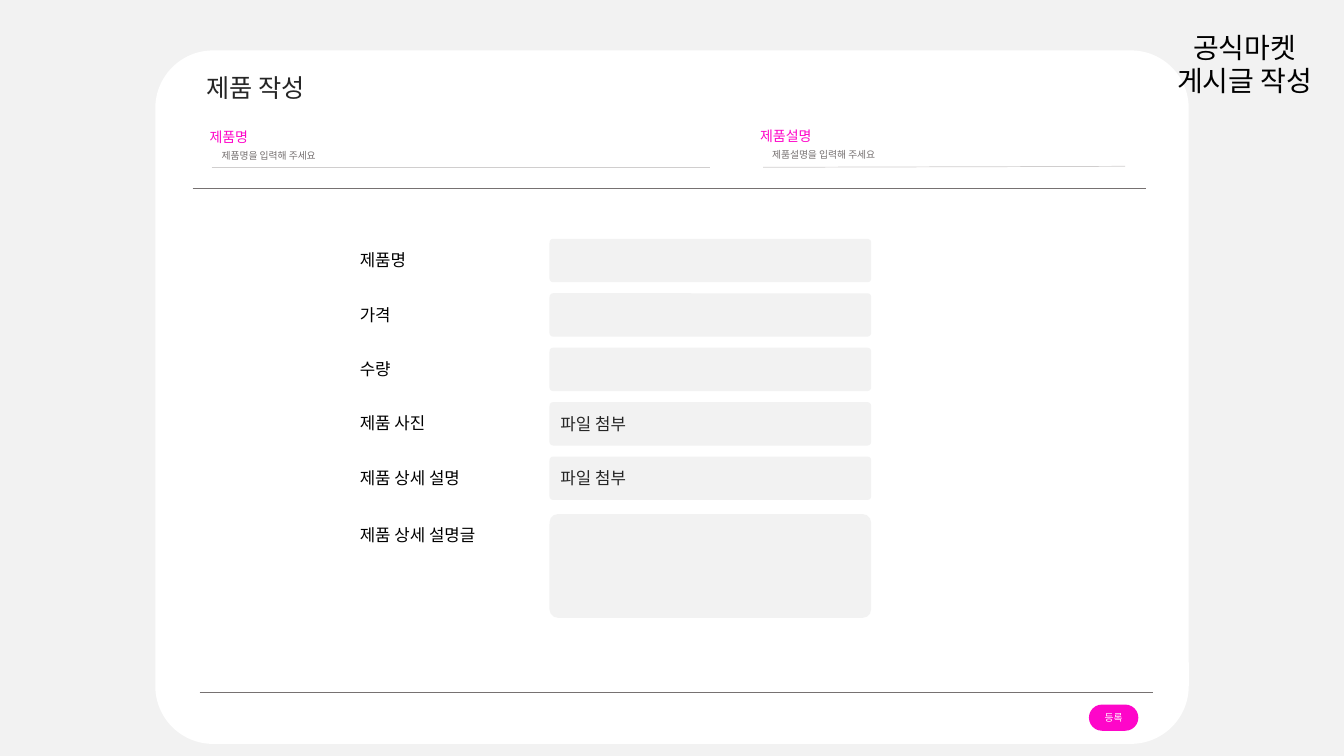
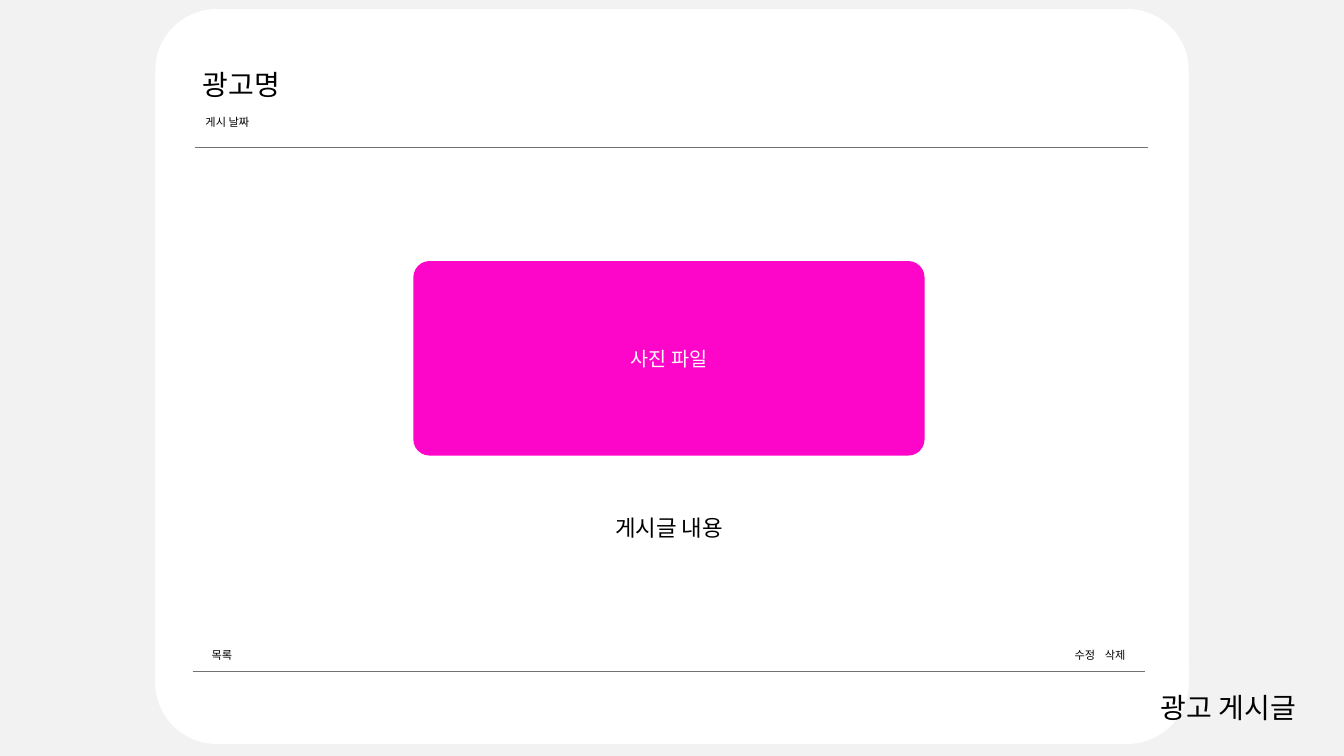
from lxml import etree
from pptx import Presentation
from pptx.dml.color import RGBColor
from pptx.enum.shapes import MSO_CONNECTOR, MSO_SHAPE
from pptx.enum.text import MSO_ANCHOR, PP_ALIGN
from pptx.oxml.ns import qn
from pptx.util import Inches, Pt

ROUNDED = MSO_SHAPE.ROUNDED_RECTANGLE
STRAIGHT = MSO_CONNECTOR.STRAIGHT
TOP, MIDDLE = MSO_ANCHOR.TOP, MSO_ANCHOR.MIDDLE
LEFT, CENTER = PP_ALIGN.LEFT, PP_ALIGN.CENTER

FONT = "Noto Sans CJK KR"
WHITE, BLACK, PINK = "FFFFFF", "000000", "FE06C9"
PALE, SILVER, GRAY, DARK = "F2F2F2", "D0CECE", "767171", "262626"
CORNER = 1 / 12


def add_box(slide, left, top, width, height, fill=None, corner=CORNER):
    """Add a rounded box, or a plain text box when there is no fill."""
    bounds = [Inches(length) for length in (left, top, width, height)]
    if fill is None:
        return slide.shapes.add_textbox(*bounds)
    shape = slide.shapes.add_shape(ROUNDED, *bounds)
    shape.adjustments[0] = corner
    shape.shadow.inherit = False
    shape.fill.solid()
    shape.fill.fore_color.rgb = RGBColor.from_string(fill)
    shape.line.fill.background()
    return shape


def write(shape, text, size, color=BLACK, align=LEFT, anchor=TOP):
    """Fill a shape with text, one paragraph per line."""
    frame = shape.text_frame
    frame.text = text
    frame.word_wrap = True
    frame.vertical_anchor = anchor
    for paragraph in frame.paragraphs:
        paragraph.alignment = align
        for run in paragraph.runs:
            run.font.size = Pt(size)
            run.font.color.rgb = RGBColor.from_string(color)
            run.font.name = FONT
            # Korean text takes the East Asian font
            east_asian = etree.SubElement(run._r.get_or_add_rPr(), qn("a:ea"))
            east_asian.set("typeface", FONT)


presentation = Presentation()
presentation.slide_width = Inches(13.33)
presentation.slide_height = Inches(7.5)
background = presentation.slide_master.background.fill
background.solid()
background.fore_color.rgb = RGBColor.from_string(PALE)

# Shared frame: title, title bounds, card top, lines (from, to, colour)
pages = [
    ("공식마켓\n게시글 작성", (11.16, 0.25, 2.37, 0.77), 0.5, [
        (1.91, 1.87, 11.37, 1.87, GRAY),
        (1.98, 6.87, 11.44, 6.87, GRAY),
        (2.1, 1.66, 7.04, 1.66, SILVER),
        (7.57, 1.66, 11.16, 1.65, SILVER),
    ]),
    ("광고 게시글", (10.73, 6.8, 2.91, 0.44), 0.09, [
        (1.93, 1.46, 11.39, 1.46, GRAY),
        (1.91, 6.66, 11.36, 6.66, GRAY),
    ]),
]
CARD_BOTTOM = 7.38
slides = []
for title_text, title_bounds, card_top, lines in pages:
    slide = presentation.slides.add_slide(presentation.slide_layouts[5])
    slides.append(slide)
    add_box(slide, 1.54, card_top, 10.25, CARD_BOTTOM - card_top, WHITE)
    for *ends, color in lines:
        line = slide.shapes.add_connector(STRAIGHT, *[Inches(end) for end in ends])
        line.line.color.rgb = RGBColor.from_string(color)
        line.line.width = Pt(0.5)
        etree.SubElement(line.element.spPr, qn("a:effectLst"))
    # The title overlaps the card, so it goes in front
    title = slide.shapes.title
    title.element.getparent().append(title.element)
    title.left, title.top, title.width, title.height = map(Inches, title_bounds)
    write(title, title_text, 20, align=CENTER)

form_slide, post_slide = slides

# Form heading and the two header fields
write(add_box(form_slide, 1.95, 0.67, 1.83, 0.4), "제품 작성", 18, DARK)
for left, top, label, hint in [
    (1.98, 1.23, "제품명", "제품명을 입력해 주세요"),
    (7.44, 1.22, "제품설명", "제품설명을 입력해 주세요"),
]:
    write(add_box(form_slide, left, top, 0.82, 0.27), label, 10, PINK)
    write(add_box(form_slide, left + 0.12, top + 0.21, 1.65, 0.22), hint, 7, GRAY)

# Form rows: the last one is a tall field set a little lower
ROW_TOP, ROW_STEP = 2.37, 0.54
rows = [
    ("제품명", ""),
    ("가격", ""),
    ("수량", ""),
    ("제품 사진", "파일 첨부"),
    ("제품 상세 설명", "파일 첨부"),
    ("제품 상세 설명글", ""),
]
for index, (label, value) in enumerate(rows):
    is_last = index == len(rows) - 1
    top = 5.1 if is_last else ROW_TOP + index * ROW_STEP
    write(add_box(form_slide, 3.47, top + 0.06, 1.54, 0.3), label, 12)
    field = add_box(form_slide, 5.45, top, 3.19, 1.03 if is_last else 0.43, PALE)
    if value:
        write(field, value, 12, DARK, anchor=MIDDLE)

# Submit button
button = add_box(form_slide, 10.8, 6.99, 0.49, 0.26, PINK, corner=0.5)
write(button, "등록", 7, WHITE, CENTER, MIDDLE)

# Post heading with its date
heading = add_box(post_slide, 1.91, 0.62, 3.76, 0.71)
write(heading, "광고명\n게시 날짜", 20)
date = heading.text_frame.paragraphs[1]
date.space_before = Pt(10)
date._p.get_or_add_pPr().set("marL", str(Inches(0.03)))
date.runs[0].font.size = Pt(8)

# Post photo and body
photo = add_box(post_slide, 4.1, 2.59, 5.07, 1.93, PINK)
write(photo, "사진 파일", 14, WHITE, CENTER, MIDDLE)
write(add_box(post_slide, 5.54, 5.05, 2.19, 0.37), "게시글 내용", 16, align=CENTER)

# Post actions
for left, action in [(2, "목록"), (10.56, "수정"), (10.86, "삭제")]:
    write(add_box(post_slide, left, 6.38, 0.46, 0.24), action, 8)

presentation.save("out.pptx")
